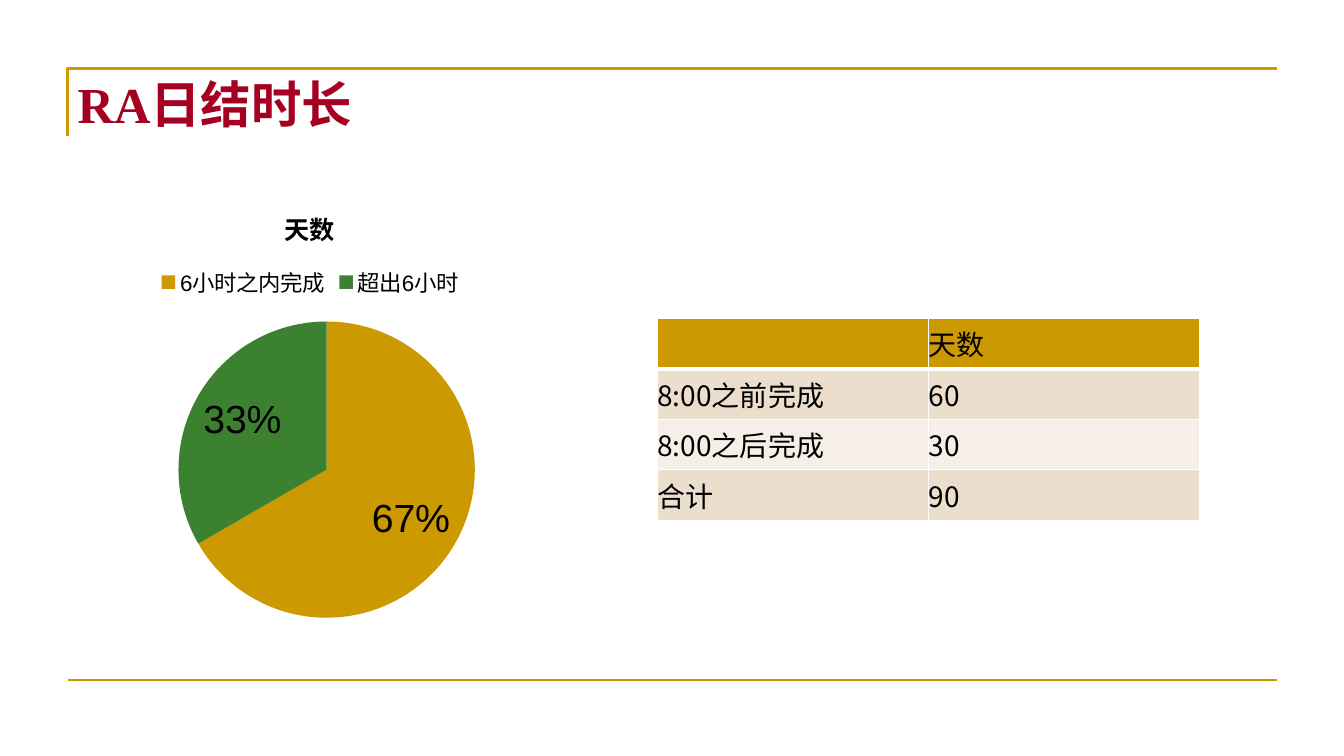
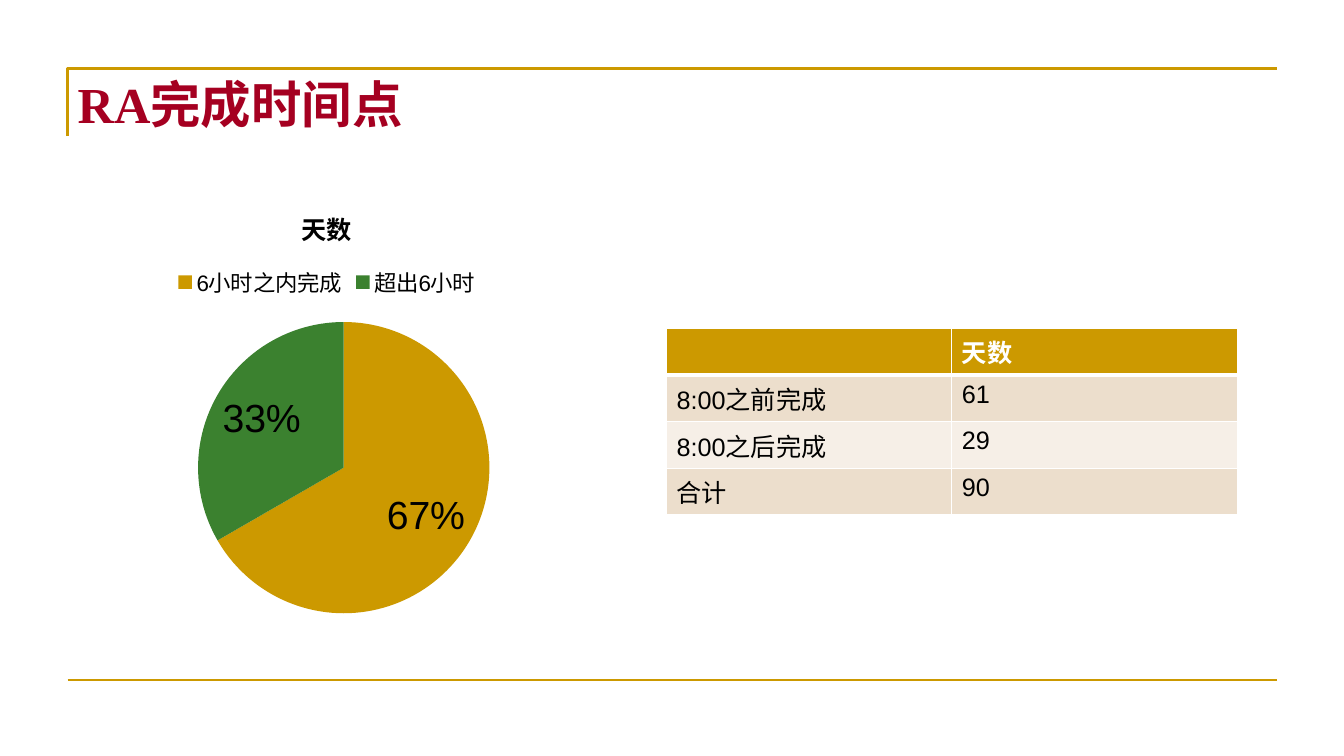
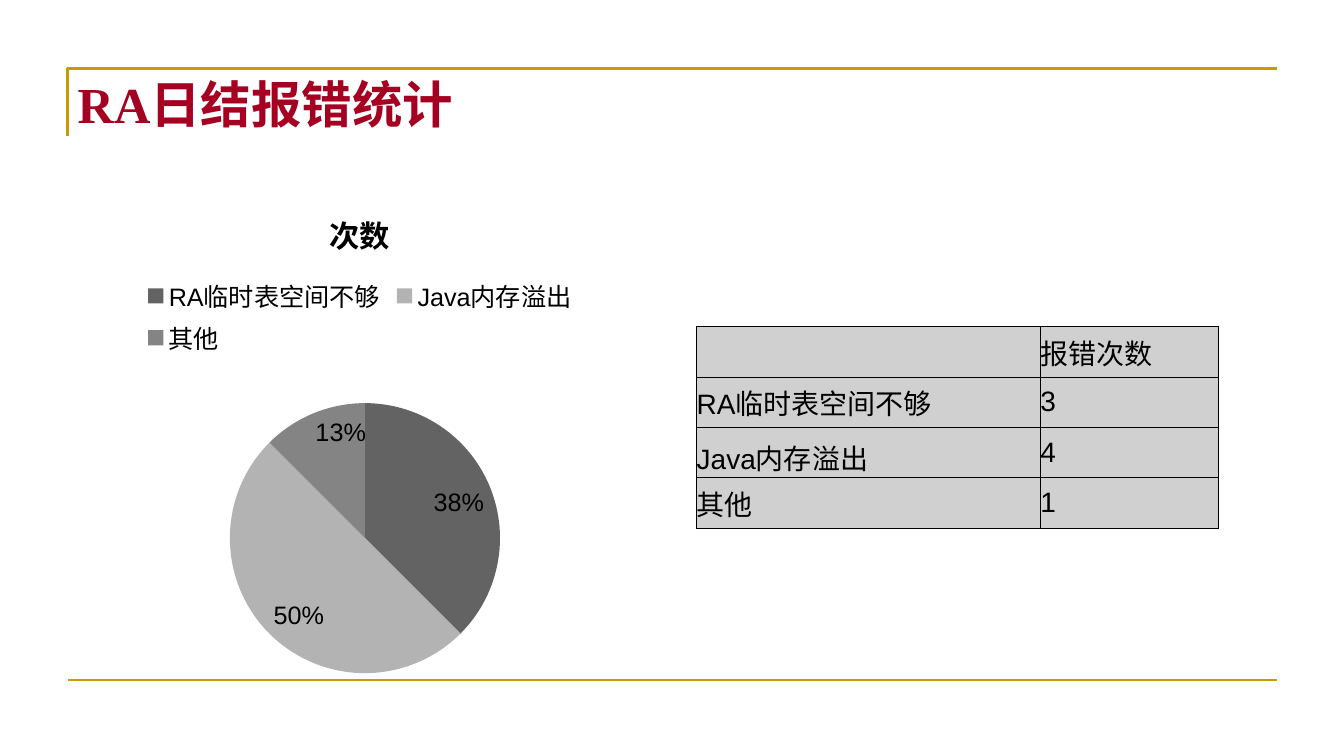
from lxml.etree import SubElement
from pptx import Presentation
from pptx.chart.data import CategoryChartData
from pptx.dml.color import RGBColor
from pptx.enum.chart import XL_CHART_TYPE, XL_LABEL_POSITION, XL_LEGEND_POSITION
from pptx.enum.shapes import MSO_CONNECTOR
from pptx.enum.text import MSO_ANCHOR, MSO_AUTO_SIZE, PP_ALIGN
from pptx.oxml import parse_xml
from pptx.oxml.ns import nsdecls, qn
from pptx.util import Inches, Pt

GOLD = RGBColor(0xCC, 0x99, 0x00)
GREEN = RGBColor(0x3B, 0x81, 0x2F)
RED = RGBColor(0xA5, 0x00, 0x21)
SAND = RGBColor(0xEC, 0xDE, 0xCC)
CREAM = RGBColor(0xF6, 0xEF, 0xE7)
BLACK = RGBColor(0, 0, 0)
WHITE = RGBColor(0xFF, 0xFF, 0xFF)
SILVER = RGBColor(0xD0, 0xD0, 0xD0)
DARK = RGBColor(0x63, 0x63, 0x63)
LIGHT = RGBColor(0xB3, 0xB3, 0xB3)
GREY = RGBColor(0x84, 0x84, 0x84)

LEFT, TOP, WIDTH, FOOT = 0.67, 0.68, 12, 6.75
CHART_TOP = 1.86
CJK = "Noto Sans CJK SC"

# Chart "pie" holds the centre and diameter of the circle on the slide.
DAYS = {
    "name": "天数", "cats": ["6小时之内完成", "超出6小时"], "vals": [60, 30],
    "colors": [GOLD, GREEN], "head": 18, "legend": 16, "label": 28,
}
ERRORS = {
    "name": "次数", "cats": ["RA临时表空间不够", "Java内存溢出", "其他"],
    "vals": [3, 4, 1], "colors": [DARK, LIGHT, GREY],
    "head": 21.6, "legend": 18, "label": 18,
}
BANDED = {"fills": [GOLD, SAND, CREAM, SAND], "edge": WHITE, "line": 1, "rule": 3}
PLAIN = {"fills": [SILVER] * 4, "edge": BLACK, "line": 0.75, "rule": 0.75}
TIGHT = {"tight": True, "size": 20, "row": 0.5}

SLIDES = [
    {
        "title": "RA日结时长",
        "chart": DAYS | {"size": (4.81, 4.9), "pie": (3.24, 4.66, 2.94)},
        "table": BANDED | TIGHT | {
            "at": (6.52, 3.16), "cols": [2.69, 2.69], "font": CJK,
            "rows": [("", "天数"), ("8:00之前完成", "60"),
                     ("8:00之后完成", "30"), ("合计", "90")],
        },
    },
    {
        "title": "RA完成时间点",
        "chart": DAYS | {"size": (5.14, 4.86), "pie": (3.41, 4.64, 2.89)},
        "table": BANDED | {
            "at": (6.61, 3.26), "cols": [2.83, 2.83], "font": "Arial",
            "tight": False, "size": 18, "row": 0.41, "head": WHITE,
            "rows": [("", "天数"), ("8:00之前完成", "61"),
                     ("8:00之后完成", "29"), ("合计", "90")],
        },
    },
    {
        "title": "RA日结报错统计",
        "chart": ERRORS | {"size": (5.8, 4.95), "pie": (3.62, 5.34, 2.68)},
        "table": PLAIN | TIGHT | {
            "at": (6.91, 3.24), "cols": [3.41, 1.77], "font": "Arial",
            "low": (2, 0),
            "rows": [("", "报错次数"), ("RA临时表空间不够", "3"),
                     ("Java内存溢出", "4"), ("其他", "1")],
        },
    },
]


def style(font, size, color, name="Arial", bold=False):
    font.size, font.name, font.bold = Pt(size), name, bold
    font.color.rgb = color


def add_frame(slide, layout):
    """Draw the gold lines and move them to the layout, where all slides share them."""
    pen = slide.shapes.build_freeform(Inches(LEFT), Inches(TOP + 0.67))
    pen.add_line_segments([(Inches(LEFT), Inches(TOP)),
                           (Inches(LEFT + WIDTH), Inches(TOP))], close=False)
    corner = pen.convert_to_shape()
    corner.fill.background()
    corner.shadow.inherit = False
    base = slide.shapes.add_connector(
        MSO_CONNECTOR.STRAIGHT, Inches(LEFT), Inches(FOOT),
        Inches(LEFT + WIDTH), Inches(FOOT))
    for part in (corner, base):
        part.line.color.rgb = GOLD
        part.line.width = Pt(1.5)
        layout.shapes._spTree.append(part._element)
    SubElement(base._element.spPr, qn("a:effectLst"))


def add_title(slide, text):
    title = slide.shapes.title
    title.left, title.top = Inches(LEFT), Inches(TOP)
    title.width, title.height = Inches(WIDTH), Inches(1.25)
    frame = title.text_frame
    frame.text = text
    frame.auto_size = MSO_AUTO_SIZE.NONE
    frame.vertical_anchor = MSO_ANCHOR.TOP
    para = frame.paragraphs[0]
    para.alignment = PP_ALIGN.LEFT
    style(para.font, 36, RED, "Times New Roman", True)


def place_pie(chart, size, pie):
    (wide, high), (mid_x, mid_y, diam) = size, pie
    spots = {"x": (mid_x - diam / 2 - LEFT) / wide,
             "y": (mid_y - diam / 2 - CHART_TOP) / high,
             "w": diam / wide, "h": diam / high}
    area = chart._chartSpace.chart.plotArea
    for old in area.findall(qn("c:layout")):
        area.remove(old)
    modes = '<c:xMode val="edge"/><c:yMode val="edge"/>'
    parts = "".join(f'<c:{key} val="{val:.4f}"/>' for key, val in spots.items())
    area.insert(0, parse_xml(
        f'<c:layout {nsdecls("c")}><c:manualLayout><c:layoutTarget val="inner"/>'
        f'{modes}{parts}</c:manualLayout></c:layout>'))


def add_pie(slide, info):
    data = CategoryChartData()
    data.categories = info["cats"]
    data.add_series(info["name"], info["vals"])
    wide, high = info["size"]
    chart = slide.shapes.add_chart(
        XL_CHART_TYPE.PIE, Inches(LEFT), Inches(CHART_TOP),
        Inches(wide), Inches(high), data).chart
    style(chart.font, 10, BLACK)

    chart.has_title = True
    frame = chart.chart_title.text_frame
    frame.text = info["name"]
    style(frame.paragraphs[0].font, info["head"], BLACK, bold=True)
    chart.chart_title.include_in_layout = False

    chart.has_legend = True
    legend = chart.legend
    legend.position = XL_LEGEND_POSITION.TOP
    legend.include_in_layout = False
    style(legend.font, info["legend"], BLACK)

    plot = chart.plots[0]
    plot.vary_by_categories = True
    series = plot.series[0]
    for i, color in enumerate(info["colors"]):
        form = series.points[i].format
        form.fill.solid()
        form.fill.fore_color.rgb = color
        form.line.fill.background()
    labels = series.data_labels
    labels.show_percentage, labels.show_value = True, False
    labels.number_format, labels.number_format_is_linked = "0%", False
    labels.position = XL_LABEL_POSITION.INSIDE_END
    style(labels.font, info["label"], BLACK)
    place_pie(chart, info["size"], info["pie"])


def set_edges(cell, color, widths):
    props = cell._tc.get_or_add_tcPr()
    for side, width in zip("LRTB", widths):
        props.append(parse_xml(
            f'<a:ln{side} {nsdecls("a")} w="{Pt(width)}"><a:solidFill>'
            f'<a:srgbClr val="{color}"/></a:solidFill></a:ln{side}>'))


def add_grid(slide, info):
    rows, cols = info["rows"], info["cols"]
    left, top = info["at"]
    table = slide.shapes.add_table(
        len(rows), len(cols), Inches(left), Inches(top),
        Inches(sum(cols)), Inches(info["row"] * len(rows))).table
    table.first_row = table.horz_banding = False
    for col, width in zip(table.columns, cols):
        col.width = Inches(width)
    line, rule = info["line"], info["rule"]
    for r, texts in enumerate(rows):
        table.rows[r].height = Inches(info["row"])
        over = rule if r == 1 else line
        under = rule if r == 0 else line
        for c, text in enumerate(texts):
            cell = table.cell(r, c)
            cell.text = text
            if info["tight"]:
                cell.margin_left = cell.margin_right = 0
                cell.margin_top = cell.margin_bottom = 0
                cell.vertical_anchor = (MSO_ANCHOR.BOTTOM if (r, c) == info.get("low")
                                        else MSO_ANCHOR.MIDDLE)
            set_edges(cell, info["edge"], (line, line, over, under))
            cell.fill.solid()
            cell.fill.fore_color.rgb = info["fills"][r]
            head = r == 0 and "head" in info
            style(cell.text_frame.paragraphs[0].font, info["size"],
                  info["head"] if head else BLACK, info["font"], head)


def main():
    deck = Presentation()
    deck.slide_width, deck.slide_height = Inches(13.33), Inches(7.5)
    layout = deck.slide_layouts[5]
    for i, page in enumerate(SLIDES):
        slide = deck.slides.add_slide(layout)
        if i == 0:
            add_frame(slide, layout)
        add_title(slide, page["title"])
        add_pie(slide, page["chart"])
        add_grid(slide, page["table"])
    deck.save("out.pptx")


if __name__ == "__main__":
    main()
